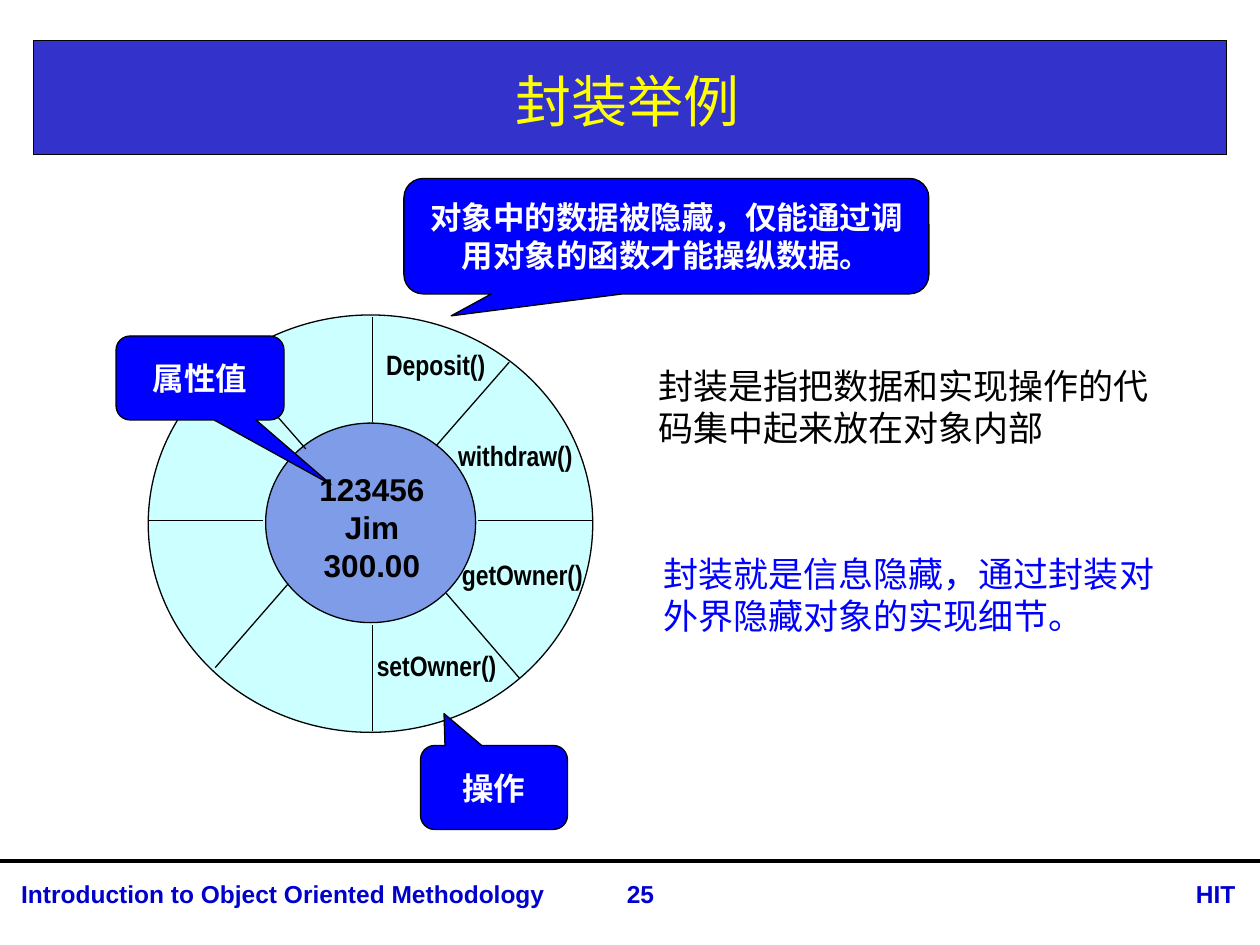
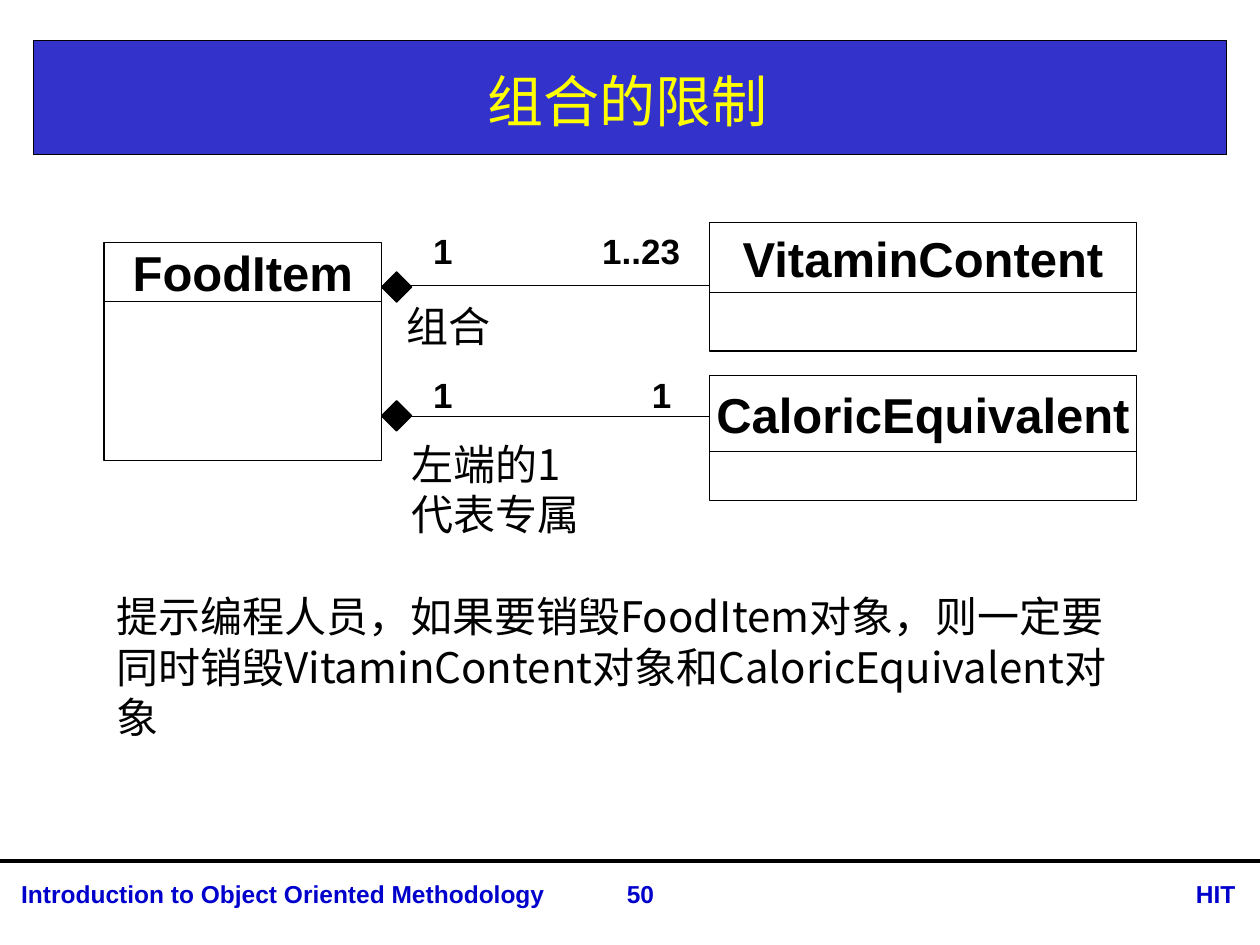
"""Build two slides on encapsulation and composition."""
from lxml.etree import SubElement
from pptx import Presentation
from pptx.dml.color import RGBColor
from pptx.enum.shapes import MSO_CONNECTOR as Connector, MSO_SHAPE as Shape
from pptx.enum.text import MSO_ANCHOR as Anchor, PP_ALIGN as Align
from pptx.oxml.ns import qn
from pptx.util import Pt

color = RGBColor.from_string
CJK = "Noto Sans CJK SC"
BLACK, WHITE, BLUE = "000000", "FFFFFF", "0000FF"
BAND, FOOTER, YELLOW = "3333CC", "0000CC", "FFFF00"
RING, CORE = "CCFFFF", "7E9CE8"


def add_box(page, place, text="", kind=None, fill=None, size=18, font=CJK, ink=BLACK,
            bold=False, align=Align.LEFT, anchor=Anchor.TOP, wrap=True, inset=True):
    lengths = [Pt(value) for value in place]
    if kind is None:
        box = page.shapes.add_textbox(*lengths)
    else:
        box = page.shapes.add_shape(kind, *lengths)
        box.shadow.inherit = False
        box.fill.solid()
        box.fill.fore_color.rgb = color(fill)
        box.line.color.rgb = color(BLACK)
        box.line.width = Pt(0.75)
    frame = box.text_frame
    frame.word_wrap = wrap
    frame.vertical_anchor = anchor
    if not inset:
        frame.margin_left = frame.margin_right = frame.margin_top = frame.margin_bottom = 0
    for index, line in enumerate(text.split("\n") if text else []):
        para = frame.add_paragraph() if index else frame.paragraphs[0]
        para.alignment = align
        span = para.add_run()
        span.text = line
        span.font.name = font
        span.font.size = Pt(size)
        span.font.bold = bold
        span.font.color.rgb = color(ink)
        SubElement(span.font._element, qn("a:ea"), typeface=CJK)
    return box


def add_line(page, start_x, start_y, end_x, end_y, width=0.75):
    line = page.shapes.add_connector(
        Connector.STRAIGHT, Pt(start_x), Pt(start_y), Pt(end_x), Pt(end_y))
    line.line.color.rgb = color(BLACK)
    line.line.width = Pt(width)
    SubElement(line._element.spPr, qn("a:effectLst"))


deck = Presentation()
deck.slide_width, deck.slide_height = Pt(720), Pt(540)

pages = []
for title, number in [("封装举例", "25"), ("组合的限制", "50")]:
    page = deck.slides.add_slide(deck.slide_layouts[6])
    add_box(page, (19, 23.2, 682, 65.3), kind=Shape.RECTANGLE, fill=BAND)
    add_line(page, 0, 492, 720, 492, width=2.25)
    for left, width, text, align in [
        (5, 333, "Introduction to Object Oriented Methodology", Align.LEFT),
        (639, 74, "HIT", Align.RIGHT),
        (329, 74, number, Align.CENTER),
    ]:
        add_box(page, (left, 499, width, 24.5), text, size=14, font="Arial",
                ink=FOOTER, bold=True, align=align)
    add_box(page, (18.5, 26, 680.5, 62.5), title, size=32, ink=YELLOW,
            align=Align.CENTER, anchor=Anchor.MIDDLE)
    pages.append(page)
wheel_page, class_page = pages

add_box(wheel_page, (84.7, 180, 254, 238.5), kind=Shape.OVAL, fill=RING)
add_box(wheel_page, (151.8, 241.8, 120, 114), kind=Shape.OVAL, fill=CORE)
add_box(wheel_page, (152.5, 265, 120, 72), "123456\nJim\n300.00", font="Arial",
        bold=True, align=Align.CENTER)
for spoke in [
    (213, 417.5, 213, 357), (213, 241.2, 213, 181.3),
    (273, 297.4, 339, 297.4), (84.5, 297.4, 150.5, 297.4),
    (255, 339, 296.8, 387.5), (123, 381.5, 164.8, 333.5),
    (249.2, 254.8, 291, 207), (132.7, 208.5, 174.7, 256.5),
]:
    add_line(wheel_page, *spoke)
for left, top, operation in [
    (198, 195, "Deposit()"), (243.5, 246.8, "withdraw()"),
    (247.5, 315.3, "getOwner()"), (198.5, 367, "setOwner()"),
]:
    add_box(wheel_page, (left, top, 102, 26.6), operation, size=16,
            font="Arial Narrow", bold=True, align=Align.CENTER)

for place, pointer, text in [
    ((66.3, 192, 96, 48), (0.78, 1.27), "属性值"),
    ((240.3, 426, 84, 48), (-0.34, -0.88), "操作"),
    ((230.8, 102, 300, 66), (-0.41, 0.69),
     "对象中的数据被隐藏，仅能通过调用对象的函数才能操纵数据。"),
]:
    callout = add_box(wheel_page, place, text, kind=Shape.ROUNDED_RECTANGULAR_CALLOUT,
                      fill=BLUE, font="Arial", ink=WHITE, bold=True,
                      align=Align.CENTER, anchor=Anchor.MIDDLE)
    callout.adjustments[0], callout.adjustments[1] = pointer

add_box(wheel_page, (369, 204.5, 304.5, 55.5),
        "封装是指把数据和实现操作的代码集中起来放在对象内部", size=20)
add_box(wheel_page, (372, 312, 301.5, 55.5),
        "封装就是信息隐藏，通过封装对外界隐藏对象的实现细节。", size=20, ink=BLUE)

add_box(class_page, (228, 247, 117.5, 65.5), "左端的1代表专属", size=24)
add_box(class_page, (232.5, 171.5, 50, 29), "组合", size=24, inset=False)
for line_y, diamond_top in [(163.3, 155.4), (237.8, 229)]:
    add_line(class_page, 233, line_y, 420, line_y)
    add_box(class_page, (218, diamond_top, 17.3, 17.3), kind=Shape.DIAMOND, fill=BLACK)
for left, top, width, multiplicity in [
    (240.5, 127.5, 28, "1"), (337, 127.5, 63, "1..23"),
    (240.5, 209.8, 28, "1"), (365.5, 209.8, 28, "1"),
]:
    add_box(class_page, (left, top, width, 31), multiplicity, size=20, font="Arial", bold=True)

for name, left, top, width, name_height, body_height in [
    ("FoodItem", 59.5, 138.5, 158.5, 34, 90.8),
    ("VitaminContent", 405.5, 127.3, 243.8, 39.8, 33.5),
    ("CaloricEquivalent", 405.5, 214.5, 243.8, 43.5, 28),
]:
    add_box(class_page, (left, top, width, name_height), name, kind=Shape.RECTANGLE,
            fill=WHITE, size=28, font="Arial", bold=True, align=Align.CENTER,
            anchor=Anchor.MIDDLE, wrap=False)
    add_box(class_page, (left, top + name_height, width, body_height),
            kind=Shape.RECTANGLE, fill=WHITE)

add_box(class_page, (59.5, 334, 595.5, 94.5),
        "提示编程人员，如果要销毁FoodItem对象，则一定要同时销毁"
        "VitaminContent对象和CaloricEquivalent对象", size=24)

deck.save("out.pptx")
